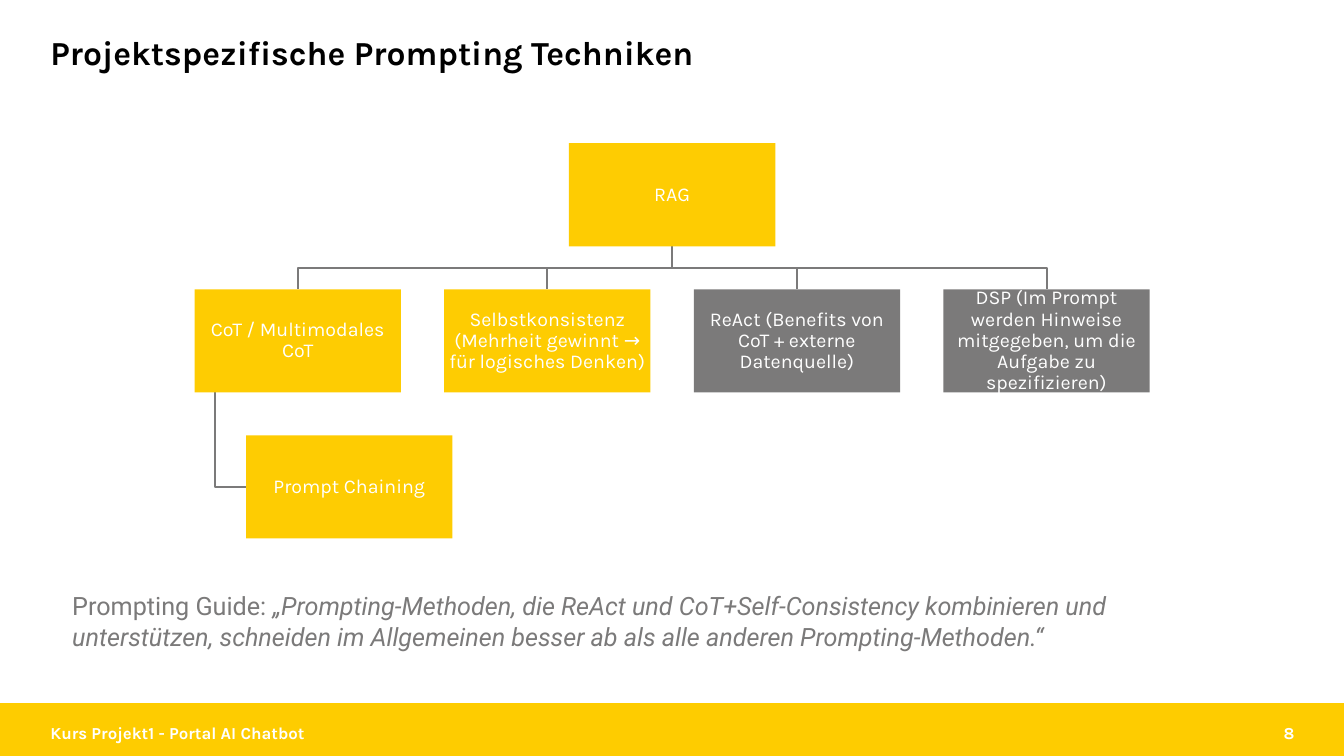
from pptx import Presentation
from pptx.dml.color import RGBColor
from pptx.enum.shapes import MSO_SHAPE
from pptx.enum.text import MSO_ANCHOR, PP_ALIGN
from pptx.util import Cm, Pt

YELLOW = "FECC02"
GRAY = "7B7A7A"
WHITE = "FFFFFF"

BOX_WIDTH, BOX_HEIGHT = 5.2, 2.6
ROW_TOP, ROW_STEP = 3.61, 3.68
COLUMN_STEP = 6.29
CENTER = 16.94

TECHNIQUES = [
    ("CoT / Multimodales CoT", YELLOW),
    ("Selbstkonsistenz (Mehrheit gewinnt → für logisches Denken)", YELLOW),
    ("ReAct (Benefits von CoT + externe Datenquelle)", GRAY),
    ("DSP (Im Prompt werden Hinweise mitgegeben, um die Aufgabe zu spezifizieren)", GRAY),
]


def color(hex_code):
    return RGBColor.from_string(hex_code)


def style(paragraph, size, hex_code, font="Karla", bold=False):
    paragraph.font.name = font
    paragraph.font.size = Pt(size)
    paragraph.font.bold = bold
    paragraph.font.color.rgb = color(hex_code)


def add_rectangle(slide, left, top, width, height, fill):
    shape = slide.shapes.add_shape(
        MSO_SHAPE.RECTANGLE, Cm(left), Cm(top), Cm(width), Cm(height))
    shape.shadow.inherit = False
    shape.fill.solid()
    shape.fill.fore_color.rgb = color(fill)
    shape.line.fill.background()
    return shape


def add_box(slide, left, top, text, fill):
    frame = add_rectangle(slide, left, top, BOX_WIDTH, BOX_HEIGHT, fill).text_frame
    frame.word_wrap = True
    frame.vertical_anchor = MSO_ANCHOR.MIDDLE
    frame.margin_left = frame.margin_right = Cm(0.02)
    frame.margin_top = frame.margin_bottom = Cm(0.02)
    paragraph = frame.paragraphs[0]
    paragraph.text = text
    paragraph.alignment = PP_ALIGN.CENTER
    paragraph.line_spacing = 0.9
    style(paragraph, 14, WHITE)


def add_branch(slide, points):
    """Draw an open, angled line through points given in centimetres."""
    start, *others = [(Cm(x), Cm(y)) for x, y in points]
    builder = slide.shapes.build_freeform(*start)
    builder.add_line_segments(others, close=False)
    shape = builder.convert_to_shape()
    shape.shadow.inherit = False
    shape.fill.background()
    shape.line.color.rgb = color(GRAY)
    shape.line.width = Pt(1.5)


def add_text(slide, left, top, width, height, text, anchor=MSO_ANCHOR.MIDDLE):
    text_box = slide.shapes.add_textbox(Cm(left), Cm(top), Cm(width), Cm(height))
    frame = text_box.text_frame
    frame.word_wrap = True
    frame.vertical_anchor = anchor
    paragraph = frame.paragraphs[0]
    paragraph.add_run().text = text
    return paragraph


def add_tree(slide):
    first_row, second_row, third_row = (ROW_TOP + ROW_STEP * row for row in range(3))
    root_bottom = first_row + BOX_HEIGHT
    middle = (root_bottom + second_row) / 2
    centers = [CENTER + COLUMN_STEP * (column - 1.5) for column in range(4)]
    first_left = centers[0] - BOX_WIDTH / 2
    chaining_left = first_left + BOX_WIDTH / 4
    trunk = first_left + BOX_WIDTH / 10
    chaining_middle = third_row + BOX_HEIGHT / 2

    for center in centers:
        add_branch(slide, [(CENTER, root_bottom), (CENTER, middle),
                           (center, middle), (center, second_row)])
    add_branch(slide, [(trunk, second_row + BOX_HEIGHT), (trunk, chaining_middle),
                       (chaining_left, chaining_middle)])

    add_box(slide, CENTER - BOX_WIDTH / 2, first_row, "RAG", YELLOW)
    for center, (text, fill) in zip(centers, TECHNIQUES):
        add_box(slide, center - BOX_WIDTH / 2, second_row, text, fill)
    add_box(slide, chaining_left, third_row, "Prompt Chaining", YELLOW)


def add_footer(slide):
    add_rectangle(slide, 0, 17.72, 33.87, 1.33, "FECC00")
    project = add_text(slide, 1.02, 18.19, 11.43, 0.53, "Kurs Projekt1 - Portal AI Chatbot")
    number = add_text(slide, 25.25, 18.19, 7.62, 0.53, "8")
    number.alignment = PP_ALIGN.RIGHT
    for paragraph in (project, number):
        style(paragraph, 12, WHITE, bold=True)


def add_quote(slide):
    paragraph = add_text(slide, 1.57, 14.76, 28.2, 1.8, "Prompting Guide: ", MSO_ANCHOR.TOP)
    quote = paragraph.add_run()
    quote.text = ("„Prompting-Methoden, die ReAct und CoT+Self-Consistency kombinieren "
                  "und unterstützen, schneiden im Allgemeinen besser ab als alle "
                  "anderen Prompting-Methoden.“")
    quote.font.italic = True
    style(paragraph, 18, GRAY, font="Roboto")


def main():
    presentation = Presentation()
    presentation.slide_width = Cm(33.87)
    presentation.slide_height = Cm(19.05)
    slide = presentation.slides.add_slide(presentation.slide_layouts[6])

    title = add_text(slide, 1.02, 0.79, 23.9, 1.19, "Projektspezifische Prompting Techniken")
    title.line_spacing = 0.9
    style(title, 24, "000000", bold=True)
    add_tree(slide)
    add_quote(slide)
    add_footer(slide)
    presentation.save("out.pptx")


if __name__ == "__main__":
    main()
